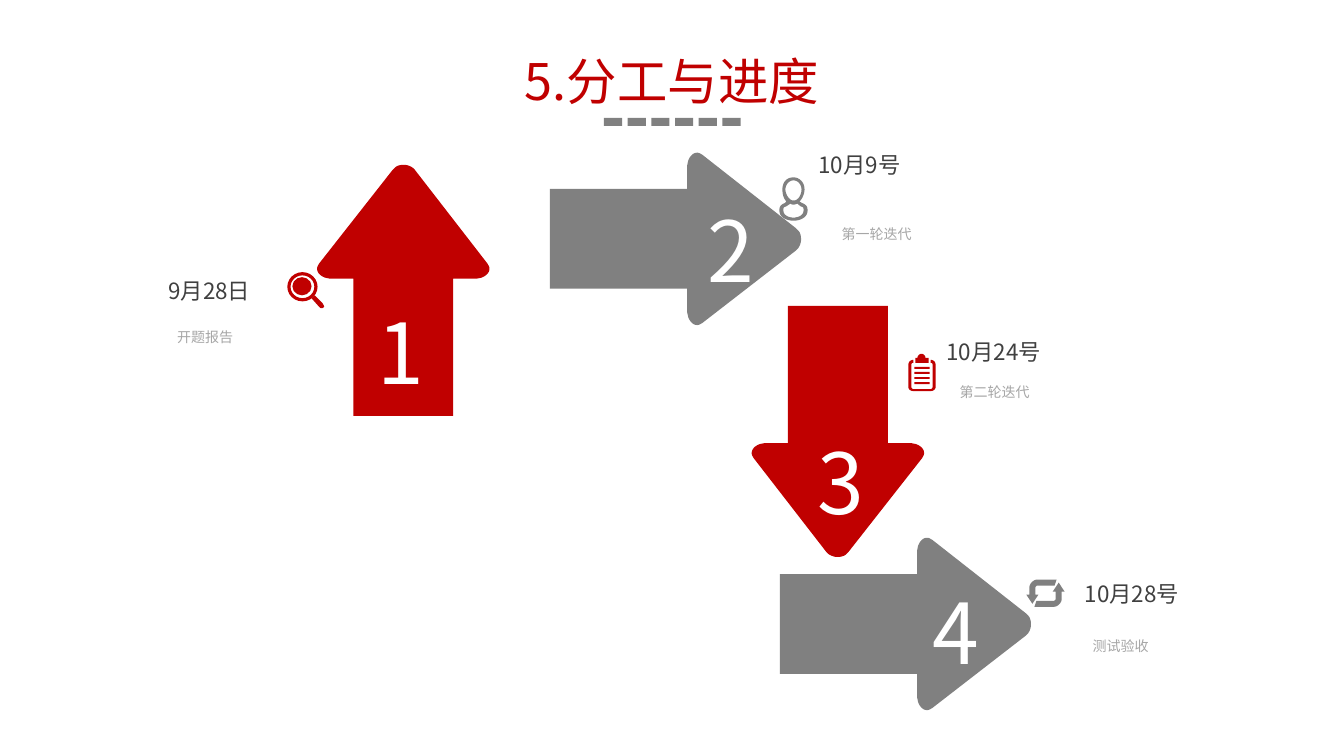
from pptx import Presentation
from pptx.dml.color import RGBColor
from pptx.enum.shapes import MSO_SHAPE
from pptx.enum.text import MSO_ANCHOR, MSO_AUTO_SIZE, PP_ALIGN
from pptx.oxml.ns import qn
from pptx.util import Inches, Pt
from lxml.etree import SubElement

FONT = "Noto Sans CJK SC"
RED, GREY, WHITE, DARK, PALE = "C00000", "808080", "FFFFFF", "404040", "A6A6A6"
LEFT, CENTER, RIGHT = PP_ALIGN.LEFT, PP_ALIGN.CENTER, PP_ALIGN.RIGHT

TITLE = "5.分工与进度"
# number, colour, arrow centre, rotation, number box corner,
# date, its corner and alignment, task, its box (left, top, width) and alignment
STEPS = [
    ("1", RED, (4, 2.88), 0, (3.4, 2.93),
     "9月28日", (1.25, 2.7), RIGHT, "开题报告", (0.95, 3.16, 1.46), RIGHT),
    ("2", GREY, (6.7, 2.37), 90, (6.67, 1.92),
     "10月9号", (8.02, 1.45), LEFT, "第一轮迭代", (8.25, 2.14, 2.79), LEFT),
    ("3", RED, (8.31, 4.28), 180, (7.76, 4.22),
     "10月24号", (9.29, 3.31), LEFT, "第二轮迭代", (9.42, 3.71, 2.79), LEFT),
    ("4", GREY, (8.98, 6.19), 90, (8.91, 5.71),
     "10月28号", (10.66, 5.71), LEFT, "测试验收", (10.03, 6.23, 1.46), RIGHT),
]

# Outlines: a pair is a corner, six numbers are a Bezier curve to the last pair.
ARROW_WIDTH, ARROW_HEIGHT = 1.71, 2.49
ARROW = [
    (0, 2.49), (0.36, 2.49), (0.36, 1.13), (0.13, 1.13), (0.08, 1.12),
    (0.03, 1.1, 0, 1.07, 0, 1.03), (0, 1.01, 0.01, 1, 0.02, 0.98),
    (0.75, 0.05), (0.77, 0.03), (0.79, 0.01, 0.82, 0, 0.86, 0),
    (0.89, 0, 0.92, 0.01, 0.95, 0.03), (0.97, 0.05), (1.69, 0.98),
    (1.7, 1, 1.71, 1.01, 1.71, 1.03), (1.71, 1.07, 1.68, 1.1, 1.63, 1.12),
    (1.58, 1.13), (1.35, 1.13), (1.35, 2.49),
][1:]
PERSON = [
    [(7.97, 2.02), (7.96, 2.02, 7.95, 2.01, 7.93, 2),
     (7.96, 1.97, 7.98, 1.92, 7.98, 1.88), (7.98, 1.81, 7.93, 1.76, 7.87, 1.76),
     (7.8, 1.76, 7.76, 1.81, 7.76, 1.88), (7.76, 1.92, 7.77, 1.97, 7.8, 2),
     (7.79, 2.01, 7.78, 2.02, 7.77, 2.02), (7.74, 2.04, 7.73, 2.05, 7.73, 2.09),
     (7.73, 2.15, 7.79, 2.19, 7.87, 2.19), (7.95, 2.19, 8.01, 2.15, 8.01, 2.09),
     (8.01, 2.05, 8, 2.04, 7.97, 2.02)],
    [(7.79, 1.88), (7.79, 1.84, 7.82, 1.79, 7.87, 1.79),
     (7.92, 1.79, 7.95, 1.84, 7.95, 1.88), (7.95, 1.93, 7.92, 1.99, 7.87, 1.99),
     (7.83, 1.99, 7.79, 1.93, 7.79, 1.88)],
    [(7.87, 2.16), (7.85, 2.16, 7.77, 2.15, 7.77, 2.09),
     (7.77, 2.06, 7.77, 2.06, 7.79, 2.05), (7.8, 2.05, 7.81, 2.04, 7.84, 2.02),
     (7.85, 2.03, 7.86, 2.03, 7.87, 2.03), (7.88, 2.03, 7.89, 2.03, 7.91, 2.02),
     (7.93, 2.04, 7.94, 2.05, 7.95, 2.05), (7.97, 2.06, 7.97, 2.06, 7.97, 2.09),
     (7.97, 2.15, 7.89, 2.16, 7.87, 2.16)],
]
HANDLE = [(3.09, 2.96), (3.17, 3.05), (3.18, 3.06, 3.2, 3.06, 3.21, 3.05),
          (3.22, 3.04, 3.21, 3.03, 3.2, 3.01), (3.12, 2.93)]
BOARD = [(9.23, 3.57), (9.23, 3.6), (9.24, 3.6, 9.25, 3.6, 9.25, 3.62),
         (9.25, 3.84), (9.25, 3.85, 9.24, 3.86, 9.23, 3.86), (9.06, 3.86),
         (9.05, 3.86, 9.04, 3.85, 9.04, 3.84), (9.04, 3.62),
         (9.04, 3.6, 9.05, 3.6, 9.06, 3.6), (9.06, 3.57),
         (9.03, 3.57, 9.01, 3.59, 9.01, 3.62), (9.01, 3.84),
         (9.01, 3.86, 9.03, 3.88, 9.06, 3.88), (9.23, 3.88),
         (9.26, 3.88, 9.28, 3.86, 9.28, 3.84), (9.28, 3.62),
         (9.28, 3.59, 9.26, 3.57, 9.23, 3.57)]
CLIP = [(9.21, 3.55), (9.18, 3.55), (9.18, 3.53, 9.16, 3.51, 9.14, 3.51),
        (9.12, 3.51, 9.1, 3.53, 9.1, 3.55), (9.08, 3.55), (9.08, 3.6), (9.21, 3.6)]
CYCLE = [(10.27, 5.9), (10.27, 5.83), (10.27, 5.82, 10.28, 5.81, 10.29, 5.81),
         (10.46, 5.81), (10.48, 5.75), (10.29, 5.75),
         (10.25, 5.75, 10.21, 5.79, 10.21, 5.83), (10.21, 5.9), (10.18, 5.9),
         (10.24, 5.99), (10.3, 5.9)]
CYCLE_SHIFT = (0.08, 0.03)


def color(hex_text):
    return RGBColor.from_string(hex_text)


def paint(shape, fill):
    shape.shadow.inherit = False
    shape.fill.solid()
    shape.fill.fore_color.rgb = color(fill)
    shape.line.fill.background()
    return shape


def add_preset(kind, left, top, width, height, fill):
    return paint(slide.shapes.add_shape(
        kind, Inches(left), Inches(top), Inches(width), Inches(height)), fill)


def flatten(outline, steps=8):
    """Turn corners and curves into points in EMU."""
    points = []
    for part in outline:
        if len(part) == 2:
            points.append(part)
            continue
        start, handles = points[-1], (part[:2], part[2:4], part[4:])
        for step in range(1, steps + 1):
            t = step / steps
            weights = ((1 - t) ** 3, 3 * t * (1 - t) ** 2, 3 * t * t * (1 - t), t ** 3)
            points.append(tuple(
                sum(w * p[axis] for w, p in zip(weights, (start, *handles)))
                for axis in (0, 1)))
    return [(Inches(x), Inches(y)) for x, y in points]


def add_outline(outlines, fill, left=0, top=0):
    first, *holes = [flatten(outline) for outline in outlines]
    builder = slide.shapes.build_freeform(*first[0])
    builder.add_line_segments(first[1:])
    for hole in holes:
        builder.move_to(*hole[0])
        builder.add_line_segments(hole[1:])
    return paint(builder.convert_to_shape(Inches(left), Inches(top)), fill)


def write(shape, text, size, fill, align, spacing=None):
    frame = shape.text_frame
    frame.word_wrap = True
    frame.auto_size = MSO_AUTO_SIZE.NONE
    frame.vertical_anchor = MSO_ANCHOR.TOP
    paragraph = frame.paragraphs[0]
    paragraph.text = text
    paragraph.alignment = align
    paragraph.line_spacing = spacing
    font = paragraph.font
    font.name, font.size = FONT, Pt(size)
    font.color.rgb = color(fill)
    east_asian = SubElement(paragraph._p.pPr.find(qn("a:defRPr")), qn("a:ea"))
    east_asian.set("typeface", FONT)


def add_text(left, top, width, height, *style):
    box = slide.shapes.add_textbox(
        Inches(left), Inches(top), Inches(width), Inches(height))
    write(box, *style)


presentation = Presentation()
presentation.slide_width, presentation.slide_height = Inches(13.33), Inches(7.5)
slide = presentation.slides.add_slide(presentation.slide_layouts[5])

title = slide.shapes.title
title.left, title.top = Inches(4.47), Inches(0.45)
title.width, title.height = Inches(4.39), Inches(0.71)
write(title, TITLE, 36, RED, CENTER)
for dash in range(6):
    add_preset(MSO_SHAPE.RECTANGLE, 5.99 + dash * 0.235, 1.17, 0.18, 0.08, GREY)

for (number, fill, (x, y), turn, number_at,
     date, date_at, date_align, task, task_at, task_align) in STEPS:
    arrow = add_outline([ARROW], fill, x - ARROW_WIDTH / 2, y - ARROW_HEIGHT / 2)
    # The outline starts at its own left edge, so the box is placed by its corner.
    arrow.left, arrow.top = Inches(x - ARROW_WIDTH / 2), Inches(y - ARROW_HEIGHT / 2)
    arrow.rotation = turn
    add_text(*number_at, 1.15, 1.11, number, 60, WHITE, CENTER)
    add_text(*date_at, 1.33, 0.37, date, 16, DARK, date_align)
    add_text(*task_at, 0.3, task, 10, PALE, task_align, 1.3)

add_outline(PERSON, GREY)

lens_ring = add_preset(MSO_SHAPE.DONUT, 2.85, 2.7, 0.3, 0.29, RED)
lens_ring.adjustments[0] = 0.11
add_preset(MSO_SHAPE.OVAL, 2.9, 2.75, 0.19, 0.18, RED)
add_outline([HANDLE], RED)

add_outline([BOARD], RED)
add_outline([CLIP], RED)
for line in range(4):
    add_preset(MSO_SHAPE.RECTANGLE, 9.07, 3.64 + line * 0.05, 0.15, 0.02, RED)

add_outline([CYCLE], GREY)
add_outline([CYCLE], GREY, *CYCLE_SHIFT).rotation = 180

presentation.save("out.pptx")
